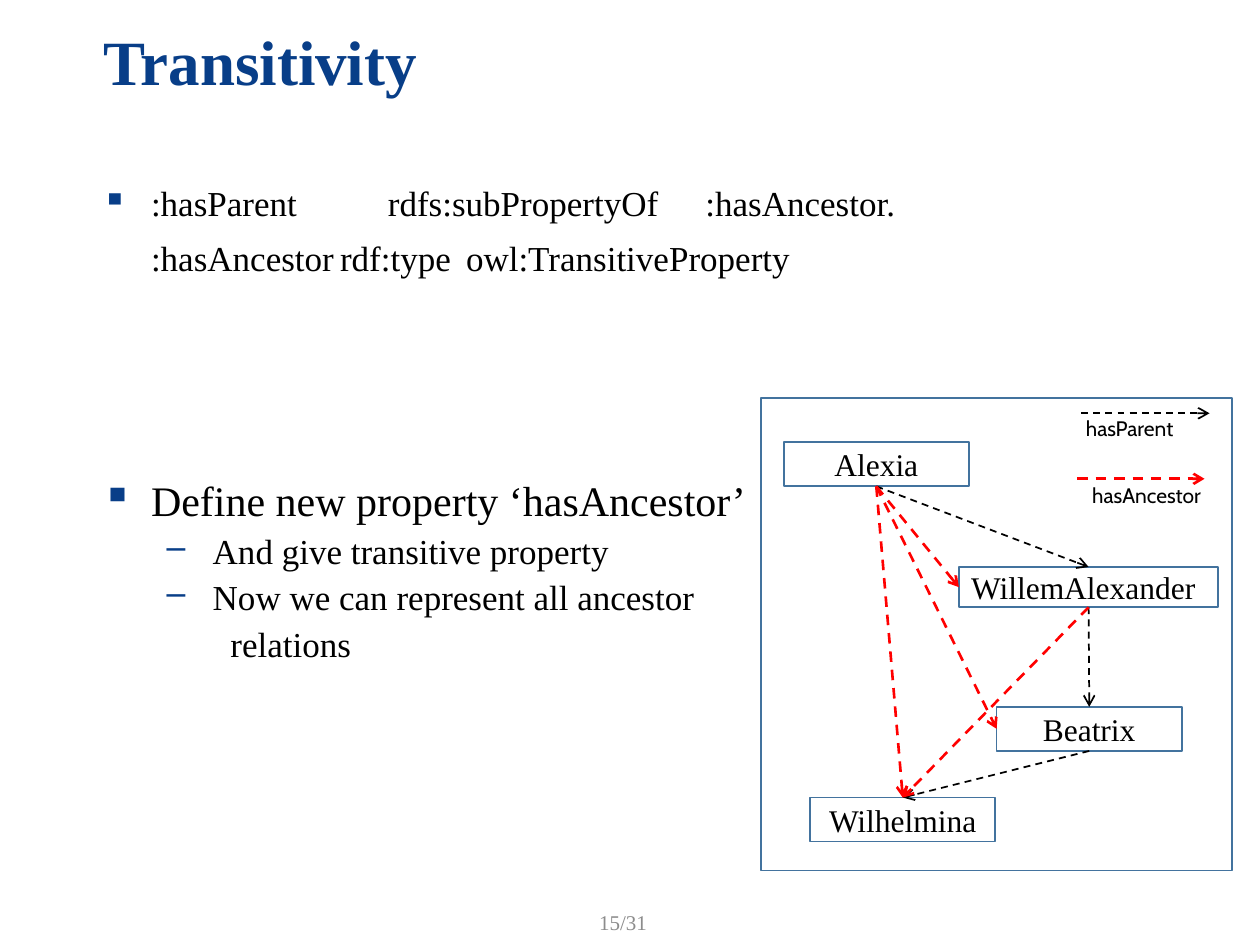
from dataclasses import dataclass

from lxml.etree import SubElement
from pptx import Presentation
from pptx.dml.color import RGBColor
from pptx.enum.dml import MSO_LINE
from pptx.enum.shapes import MSO_CONNECTOR, MSO_SHAPE
from pptx.enum.text import MSO_ANCHOR, MSO_AUTO_SIZE, PP_ALIGN
from pptx.oxml.ns import qn
from pptx.util import Inches, Pt


@dataclass(frozen=True)
class Theme:
    navy: str = "083E88"
    steel: str = "43739E"
    black: str = "000000"
    red: str = "FF0000"
    gray: str = "8C8C8C"
    white: str = "FFFFFF"
    serif: str = "Times New Roman"
    sans: str = "Cabin"
    title: int = 36
    large: int = 24
    body: int = 20
    node: int = 18
    small: int = 12


@dataclass(frozen=True)
class Line:
    text: str
    size: int
    margin: float
    hang: float = 0
    bullet: str = ""
    before: float = 10
    tabs: tuple[float, ...] = ()


@dataclass(frozen=True)
class Node:
    name: str
    left: float
    top: float
    width: float = 1.47
    height: float = 0.35
    align: PP_ALIGN = PP_ALIGN.CENTER


@dataclass(frozen=True)
class Relation:
    child: str
    elder: str
    site: int
    color: str
    weight: float


T = Theme()
TOP, LEFT, BOTTOM = 0, 1, 2
COLUMNS = (2.27, 4.79)

LINES = [
    Line(":hasParent\trdfs:subPropertyOf\t:hasAncestor.", T.body, 0.39, 0.39, "▪", 0, COLUMNS),
    Line(":hasAncestor\trdf:type\towl:TransitiveProperty", T.body, 0.39, tabs=COLUMNS),
    Line("Define new property ‘hasAncestor’", T.large, 0.39, 0.39, "▪", 114.5),
    Line("And give transitive property", T.body, 0.88, 0.38, "‒", 5),
    Line("Now we can represent all ancestor", T.body, 0.88, 0.38, "‒", 5),
    Line("relations", T.body, 1.02, before=5),
]
NODES = [
    Node("Alexia", 6.22, 3.51),
    Node("WillemAlexander", 7.61, 4.5, 2.06, 0.32, PP_ALIGN.LEFT),
    Node("Beatrix", 7.91, 5.61),
    Node("Wilhelmina", 6.43, 6.33),
]
RELATIONS = [
    Relation("Alexia", "WillemAlexander", TOP, T.black, 1),
    Relation("WillemAlexander", "Beatrix", TOP, T.black, 1),
    Relation("Beatrix", "Wilhelmina", TOP, T.black, 1),
    Relation("Alexia", "WillemAlexander", LEFT, T.red, 1.5),
    Relation("Alexia", "Wilhelmina", TOP, T.red, 1.5),
    Relation("WillemAlexander", "Wilhelmina", TOP, T.red, 1.5),
    Relation("Alexia", "Beatrix", LEFT, T.red, 1.5),
]


def write(p, text: str, *, size: int, color: str = T.black, font: str = T.serif,
          bold: bool = False, align: PP_ALIGN = PP_ALIGN.LEFT) -> None:
    p.alignment = align
    r = p.add_run()
    r.text = text
    r.font.name = font
    r.font.size = Pt(size)
    r.font.bold = bold
    r.font.color.rgb = RGBColor.from_string(color)


def place(sp, left: float, top: float, width: float, height: float) -> None:
    sp.left, sp.top, sp.width, sp.height = map(Inches, (left, top, width, height))


def add_label(s, text: str, box: tuple, *, wrap: bool = True,
              anchor: MSO_ANCHOR = MSO_ANCHOR.TOP, **style) -> None:
    tf = s.shapes.add_textbox(*map(Inches, box)).text_frame
    tf.word_wrap = wrap
    tf.vertical_anchor = anchor
    write(tf.paragraphs[0], text, **style)


def add_line(p, line: Line) -> None:
    pPr = p._p.get_or_add_pPr()
    pPr.set("marL", str(Inches(line.margin)))
    pPr.set("indent", str(-Inches(line.hang)))
    p.line_spacing = 0.9
    p.space_before = Pt(line.before)
    if line.bullet:
        SubElement(SubElement(pPr, qn("a:buClr")), qn("a:srgbClr"), val=T.navy)
        SubElement(pPr, qn("a:buChar"), char=line.bullet)
    if line.tabs:
        tabs = SubElement(pPr, qn("a:tabLst"))
        for pos in line.tabs:
            SubElement(tabs, qn("a:tab"), pos=str(Inches(pos)), algn="l")
    write(p, line.text, size=line.size)


def add_box(s, left: float, top: float, width: float, height: float):
    sp = s.shapes.add_shape(MSO_SHAPE.RECTANGLE, *map(Inches, (left, top, width, height)))
    sp.shadow.inherit = False
    sp.fill.background()
    sp.line.color.rgb = RGBColor.from_string(T.steel)
    sp.line.width = Pt(1)
    return sp


def add_node(s, node: Node):
    sp = add_box(s, node.left, node.top, node.width, node.height)
    sp.fill.solid()
    sp.fill.fore_color.rgb = RGBColor.from_string(T.white)
    tf = sp.text_frame
    tf.word_wrap = True
    tf.vertical_anchor = MSO_ANCHOR.MIDDLE
    write(tf.paragraphs[0], node.name, size=T.node, align=node.align)
    return sp


def add_arrow(s, color: str, weight: float, start: tuple = (0, 0), end: tuple = (0, 0)):
    cn = s.shapes.add_connector(MSO_CONNECTOR.STRAIGHT, *map(Inches, start + end))
    cn.line.color.rgb = RGBColor.from_string(color)
    cn.line.width = Pt(weight)
    cn.line.dash_style = MSO_LINE.DASH
    SubElement(cn.line._get_or_add_ln(), qn("a:tailEnd"), type="arrow")
    SubElement(cn._element.spPr, qn("a:effectLst"))
    return cn


def main() -> None:
    prs = Presentation()
    prs.slide_width, prs.slide_height = Inches(10), Inches(7.5)
    s = prs.slides.add_slide(prs.slide_layouts[5])

    title = s.shapes.title
    place(title, 0.72, 0.1, 8.47, 0.83)
    tf = title.text_frame
    tf.auto_size = MSO_AUTO_SIZE.NONE
    tf.vertical_anchor = MSO_ANCHOR.MIDDLE
    tf.paragraphs[0].line_spacing = 0.9
    write(tf.paragraphs[0], "Transitivity", size=T.title, color=T.navy, bold=True)

    tf = s.shapes.add_textbox(*map(Inches, (0.71, 1.43, 9.08, 5.57))).text_frame
    tf.word_wrap = True
    for i, line in enumerate(LINES):
        add_line(tf.add_paragraph() if i else tf.paragraphs[0], line)

    add_box(s, 6.04, 3.16, 3.74, 3.75)
    people = {node.name: add_node(s, node) for node in NODES}
    for rel in RELATIONS:
        cn = add_arrow(s, rel.color, rel.weight)
        cn.begin_connect(people[rel.child], BOTTOM)
        cn.end_connect(people[rel.elder], rel.site)

    add_arrow(s, T.black, 1, (8.58, 3.28), (9.6, 3.28))
    add_label(s, "hasParent", (8.52, 3.25, 0.91, 0.3), wrap=False, size=T.small, font=T.sans)
    add_arrow(s, T.red, 1.5, (8.55, 3.8), (9.56, 3.8))
    add_label(s, "hasAncestor", (8.57, 3.78, 1.07, 0.3), wrap=False, size=T.small, font=T.sans)

    add_label(s, "15/31", (3.82, 7.18, 2.25, 0.27), anchor=MSO_ANCHOR.MIDDLE,
              size=T.small, color=T.gray, align=PP_ALIGN.CENTER)
    prs.save("out.pptx")


if __name__ == "__main__":
    main()
